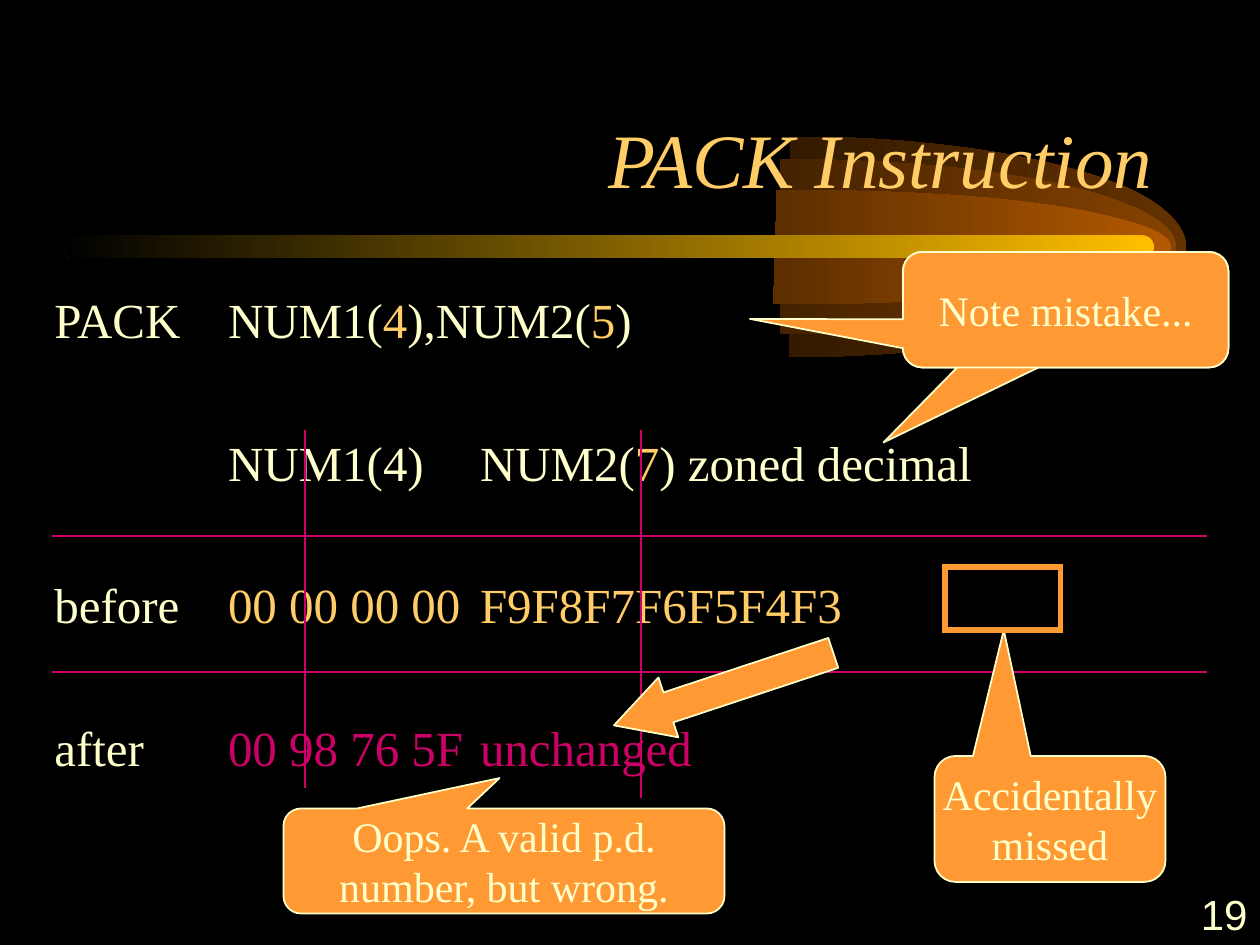
import pptx
import pptx.dml.color
import pptx.enum.shapes
import pptx.enum.text
import pptx.oxml.ns
import pptx.util
import lxml.etree

Pt = pptx.util.Pt
SHAPE = pptx.enum.shapes.MSO_SHAPE
ALIGN = pptx.enum.text.PP_ALIGN
ANCHOR = pptx.enum.text.MSO_ANCHOR
qn = pptx.oxml.ns.qn

COLORS = {"bg": "000000", "text": "FFFFCC", "gold": "FFCC66", "pink": "CC0066",
          "orange": "FF9933", "bar": "FFBF00"}
SERIF, SANS = "Times New Roman", "Arial"

# Content: rows of (text, colour) runs
TITLE = "PACK Instruction"
ROWS = [
    [("PACK\tNUM1(", "text"), ("4", "gold"), ("),NUM2(", "text"), ("5", "gold"), (")", "text")],
    [("\tNUM1(4)\tNUM2(", "text"), ("7", "gold"), (") zoned decimal", "text")],
    [("before\t", "text"), ("00 00 00 00\tF9F8F7F6F5F4F3", "gold")],
    [("after\t", "text"), ("00 98 76 5F\tunchanged", "pink")],
]
TAB_STOPS = [99.2, 243.2]
ROW_GAP = 47.8
NUMBER = "19"

# Grid lines: x1, y1, x2, y2
GRID = [(366.2, 246, 366.2, 456), (30, 384, 690, 384),
        (30, 306.2, 690, 306.2), (174.2, 246, 174.2, 450)]

# Callouts: box, tail position, lines of text
MISSED = ((534, 432, 132, 72), (-0.2, -1.5), ["Accidentally", "missed"])
NOTE_BOX = (516, 144, 186, 66)
NOTE_BACK = (NOTE_BOX, (-0.56, 1.15), [])
NOTE_FRONT = (NOTE_BOX, (-0.97, 0.08), ["Note mistake..."])
OOPS = ((162, 462, 252, 60), (-0.01, -0.79), ["Oops. A valid p.d.", "number, but wrong."])

# Ribbons: left, half height, colours at right and left
RIBBON_MIDDLE = 141.1
RIBBONS = [(452, 62.6, "663300", "331A00"),
           (446.5, 49.7, "894400", "452200"),
           (443.5, 32.5, "B75B00", "5C2E00")]
# Bezier nodes of a ribbon: x in points, y as a share of the half height
RIBBON_CURVE = [(0, -1), (80.6, -1.01), (155.5, -0.82), (195.8, -0.51), (236, -0.2),
                (235.5, 0.2), (195, 0.51), (154.8, 0.82), (80, 1.01), (-1, 1)]


def rgb(value):
    return pptx.dml.color.RGBColor.from_string(COLORS.get(value, value))


def box(values):
    return [Pt(v) for v in values]


def paint(s, fill=None, line=None, width=1):
    s.shadow.inherit = False
    if fill:
        s.fill.solid()
        s.fill.fore_color.rgb = rgb(fill)
    else:
        s.fill.background()
    s.line.color.rgb = rgb(line)
    s.line.width = Pt(width)


def fade(s, right, left):
    s.shadow.inherit = False
    s.line.fill.background()
    s.fill.gradient()
    s.fill.gradient_angle = 180
    for stop, position, color in zip(s.fill.gradient_stops, (0, 1), (right, left)):
        stop.position = position
        stop.color.rgb = rgb(color)


def add_ribbon(shapes, left, half, right_color, left_color):
    nodes = [(left + x, RIBBON_MIDDLE + y * half) for x, y in RIBBON_CURVE]
    builder = shapes.build_freeform(*nodes[0], scale=Pt(1))
    builder.add_line_segments(nodes[1:], close=True)
    s = builder.convert_to_shape()
    # Each three straight segments become one Bezier curve
    segments = list(s._element.iter(qn("a:lnTo")))
    for i in range(0, len(segments), 3):
        curve = lxml.etree.Element(qn("a:cubicBezTo"))
        segments[i].addprevious(curve)
        for segment in segments[i:i + 3]:
            curve.append(segment[0])
            segment.getparent().remove(segment)
    fade(s, right_color, left_color)


def write(s, rows, size, align, anchor, font=SERIF, italic=False, wrap=True, gap=0, tabs=()):
    tf = s.text_frame
    tf.word_wrap = wrap
    tf.vertical_anchor = anchor
    for i, row in enumerate(rows):
        p = tf.add_paragraph() if i else tf.paragraphs[0]
        if tabs:
            tab_list = lxml.etree.SubElement(p._p.get_or_add_pPr(), qn("a:tabLst"))
            for stop in tabs:
                lxml.etree.SubElement(tab_list, qn("a:tab"), pos=str(int(Pt(stop))), algn="l")
        p.alignment = align
        if i and gap:
            p.space_before = Pt(gap)
        for text, color in row:
            r = p.add_run()
            r.text = text
            r.font.name = font
            r.font.size = Pt(size)
            r.font.italic = italic
            r.font.color.rgb = rgb(color)


def add_callout(shapes, place, tail, lines):
    s = shapes.add_shape(SHAPE.ROUNDED_RECTANGULAR_CALLOUT, *box(place))
    for i, value in enumerate((*tail, 0.167)):
        s.adjustments[i] = value
    paint(s, "orange", "text")
    if lines:
        write(s, [[(line, "text")] for line in lines], 24, ALIGN.CENTER, ANCHOR.MIDDLE, wrap=False)


def main():
    prs = pptx.Presentation()
    prs.slide_width, prs.slide_height = Pt(720), Pt(540)
    slide = prs.slides.add_slide(prs.slide_layouts[6])
    slide.background.fill.solid()
    slide.background.fill.fore_color.rgb = rgb("bg")
    shapes = slide.shapes

    # Comet ribbons and bar
    for ribbon in RIBBONS:
        add_ribbon(shapes, *ribbon)
    bar = shapes.add_shape(SHAPE.ROUNDED_RECTANGLE, *box((36, 134.5, 623.5, 13)))
    bar.adjustments[0] = 0.5
    fade(bar, "bar", "bg")

    # Title and instruction rows
    title = shapes.add_textbox(*box((54, 30, 612, 90)))
    write(title, [[(TITLE, "gold")]], 44, ALIGN.RIGHT, ANCHOR.BOTTOM, italic=True)
    body = shapes.add_textbox(*box((24, 162, 672, 324)))
    write(body, ROWS, 28, ALIGN.LEFT, ANCHOR.TOP, gap=ROW_GAP, tabs=TAB_STOPS)

    # Grid lines
    for ends in GRID:
        line = shapes.add_connector(pptx.enum.shapes.MSO_CONNECTOR.STRAIGHT, *box(ends))
        line.line.color.rgb = rgb("pink")
        line.line.width = Pt(1)
        lxml.etree.SubElement(line._element.spPr, qn("a:effectLst"))

    # Callouts, square-cornered frame and arrow
    add_callout(shapes, *MISSED)
    frame = shapes.add_shape(SHAPE.RECTANGLE, *box((540, 324, 66, 36)))
    paint(frame, line="orange", width=3)
    outline = frame._element.spPr.find(qn("a:ln"))
    lxml.etree.SubElement(outline, qn("a:miter"), lim="800000")
    add_callout(shapes, *NOTE_BACK)
    add_callout(shapes, *NOTE_FRONT)
    arrow = shapes.add_shape(SHAPE.RIGHT_ARROW, *box((347.5, 375.8, 132, 36)))
    arrow.adjustments[0], arrow.adjustments[1] = 0.5, 0.91
    arrow.rotation = 161.7
    paint(arrow, "orange", "text")
    add_callout(shapes, *OOPS)

    # Slide number
    number = shapes.add_textbox(*box((570, 504, 150, 36)))
    write(number, [[(NUMBER, "text")]], 24, ALIGN.RIGHT, ANCHOR.MIDDLE, font=SANS)

    prs.save("out.pptx")


if __name__ == "__main__":
    main()
